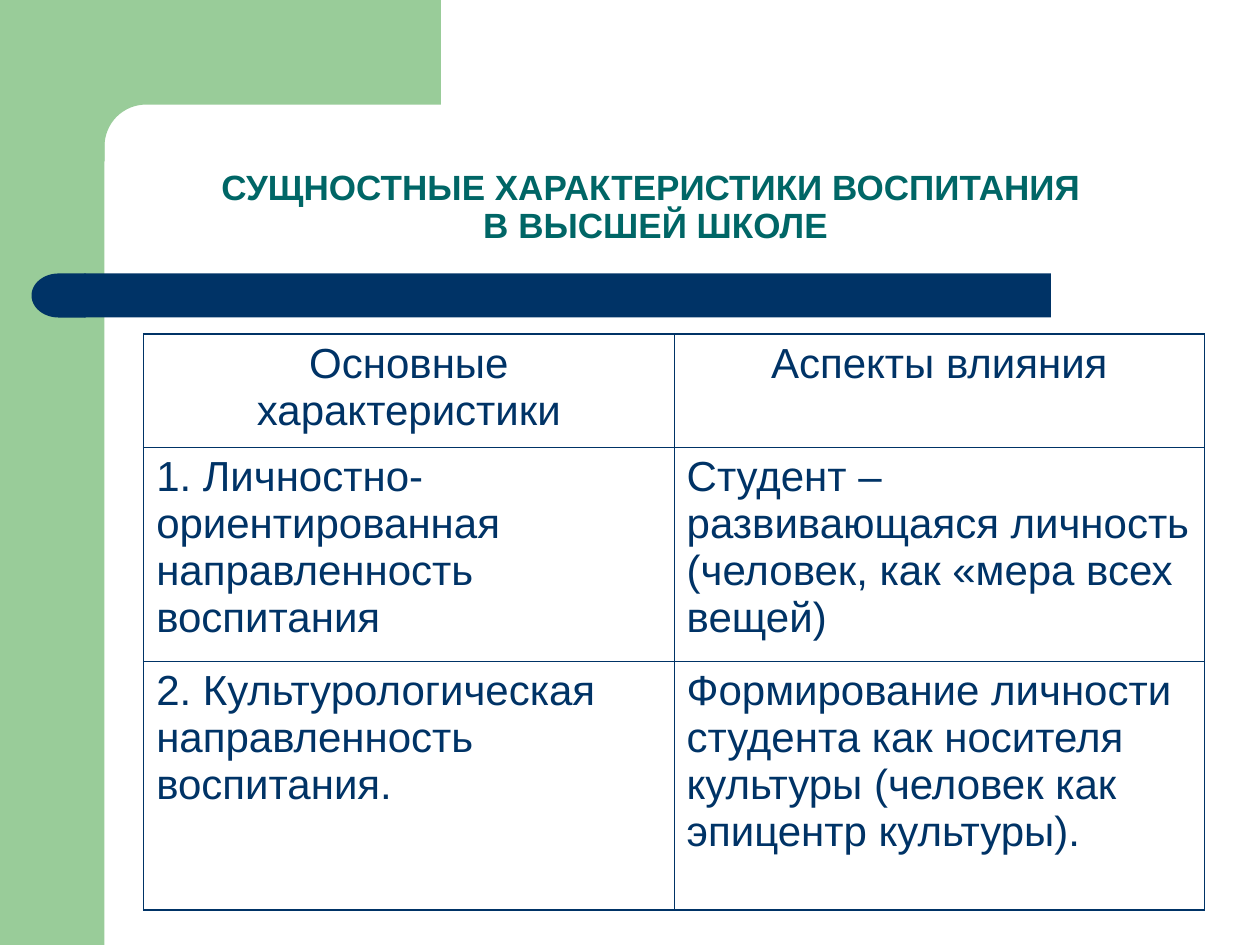
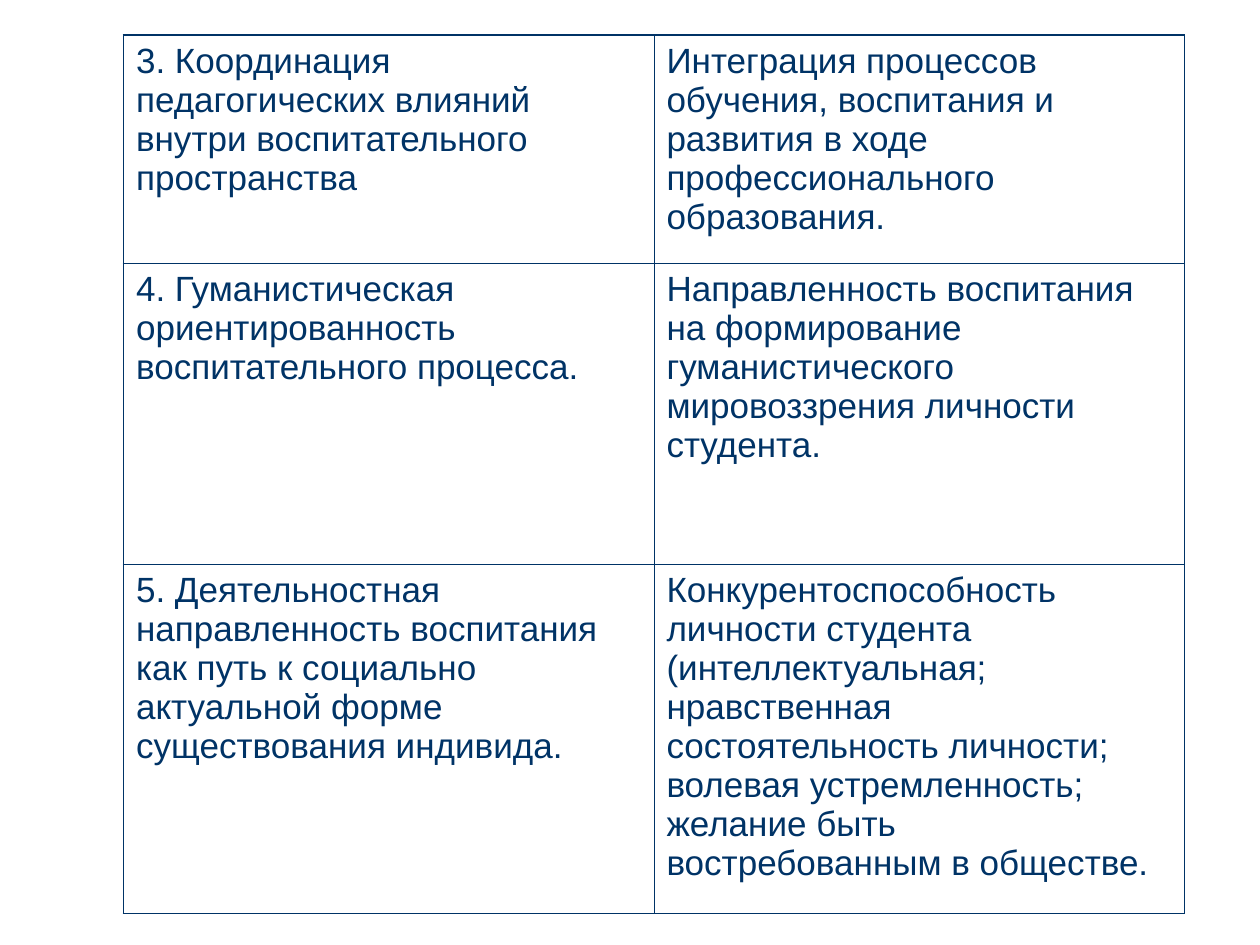
from math import cos, pi, sin

from lxml.etree import SubElement
from pptx import Presentation
from pptx.dml.color import RGBColor
from pptx.enum.shapes import MSO_SHAPE as Preset
from pptx.enum.text import MSO_ANCHOR as Anchor, MSO_AUTO_SIZE as AutoSize, PP_ALIGN as Align
from pptx.oxml.ns import qn
from pptx.util import Inches, Pt

COLORS = {"green": "99CC99", "navy": "003366", "teal": "006666"}
FONT = "Arial"
TITLE_SIZE = 20
COLUMN_WIDTH = 4.21
OUTER_LINE, INNER_LINE = 1.08, 0.45

TITLE = "СУЩНОСТНЫЕ ХАРАКТЕРИСТИКИ ВОСПИТАНИЯ\v В ВЫСШЕЙ ШКОЛЕ"
FIRST_ROWS = [
    ("Основные характеристики", "Аспекты влияния"),
    ("1. Личностно-ориентированная направленность воспитания",
     "Студент – развивающаяся личность (человек, как «мера всех вещей)"),
    ("2. Культурологическая направленность воспитания.",
     "Формирование личности студента как носителя культуры (человек как эпицентр культуры)."),
]
SECOND_ROWS = [
    ("3. Координация педагогических влияний внутри воспитательного пространства",
     "Интеграция процессов обучения, воспитания и развития в ходе "
     "профессионального образования."),
    ("4. Гуманистическая ориентированность воспитательного процесса.",
     "Направленность воспитания на формирование гуманистического "
     "мировоззрения личности студента."),
    ("5. Деятельностная направленность воспитания как путь к социально "
     "актуальной форме существования индивида.",
     "Конкурентоспособность личности студента (интеллектуальная; нравственная "
     "состоятельность личности; волевая устремленность; желание быть "
     "востребованным в обществе."),
]


def apply_format(target, values):
    """Set each named attribute of the target."""
    for name, value in values.items():
        setattr(target, name, value)


def style_spans(para, size, color, bold=False):
    """Give every span of a paragraph the same font."""
    for span in para.runs:
        apply_format(span.font, {"name": FONT, "size": Pt(size), "bold": bold})
        span.font.color.rgb = RGBColor.from_string(COLORS[color])


def paint(shape, color):
    """Fill a shape flatly, without outline or shadow."""
    shape.shadow.inherit = False
    shape.fill.solid()
    shape.fill.fore_color.rgb = RGBColor.from_string(COLORS[color])
    shape.line.fill.background()


def add_block(page, preset, color, left, top, width, height):
    """Add a painted preset shape."""
    block = page.shapes.add_shape(preset, *map(Inches, (left, top, width, height)))
    paint(block, color)
    return block


def add_corner(page):
    """Add the green top band with its rounded inner corner."""
    center, radius, steps = 1.16, 0.33, 16
    angles = [pi / 2 * step / steps for step in range(steps + 1)]
    arc = [(center - radius * sin(a), center - radius * cos(a)) for a in angles]
    points = [(3.5, 0), (3.5, 0.83), *arc, (0.83, 1.28), (0.5, 1.28), (0.5, 0)]
    start, *rest = [(Inches(x), Inches(y)) for x, y in points]
    builder = page.shapes.build_freeform(*start)
    builder.add_line_segments(rest, close=True)
    paint(builder.convert_to_shape(), "green")


def add_decor(page):
    """Draw the green frame and the navy bar with its rounded end."""
    add_block(page, Preset.RECTANGLE, "green", 0, 0, 0.83, 7.5)
    add_corner(page)
    add_block(page, Preset.RECTANGLE, "navy", 0.67, 2.17, 7.67, 0.35)
    bar_end = add_block(page, Preset.FLOWCHART_DELAY, "navy", 0.25, 2.17, 0.43, 0.35)
    bar_end.rotation = 180


def set_title(page, text):
    """Place and format the title placeholder."""
    title = page.shapes.title
    apply_format(title, {"left": Inches(0.91), "top": Inches(0.91),
                         "width": Inches(8.51), "height": Inches(1.09)})
    apply_format(title.text_frame, {"word_wrap": True, "auto_size": AutoSize.NONE,
                                    "vertical_anchor": Anchor.BOTTOM})
    para = title.text_frame.paragraphs[0]
    apply_format(para, {"text": text, "alignment": Align.CENTER, "line_spacing": 0.9})
    style_spans(para, TITLE_SIZE, "teal", bold=True)
    for line_break in para._p.findall(qn("a:br")):
        SubElement(line_break, qn("a:rPr"), sz=str(TITLE_SIZE * 100))


def set_borders(cell, outer_sides):
    """Draw thick lines on the outer sides of a cell and thin ones elsewhere."""
    properties = cell._tc.get_or_add_tcPr()
    for side in "LRTB":
        width = OUTER_LINE if side in outer_sides else INNER_LINE
        line = SubElement(properties, qn(f"a:ln{side}"), w=str(Pt(width)))
        fill = SubElement(line, qn("a:solidFill"))
        SubElement(fill, qn("a:srgbClr"), val=COLORS["navy"])


def add_grid(page, left, top, rows, heights, size, space, has_header=False):
    """Add a two-column table with navy lines and text."""
    frame = page.shapes.add_table(len(rows), 2, Inches(left), Inches(top),
                                  Inches(2 * COLUMN_WIDTH), Inches(sum(heights)))
    table = frame.table
    apply_format(table, {"first_row": False, "horz_banding": False})
    for column in table.columns:
        column.width = Inches(COLUMN_WIDTH)
    for row_index, (texts, height) in enumerate(zip(rows, heights)):
        table.rows[row_index].height = Inches(height)
        edge = {0: "T", len(rows) - 1: "B"}.get(row_index, "")
        for column_index, text in enumerate(texts):
            cell = table.cell(row_index, column_index)
            set_borders(cell, edge + "LR"[column_index])
            cell.fill.background()
            para = cell.text_frame.paragraphs[0]
            centered = has_header and row_index == 0
            apply_format(para, {"text": text, "space_before": Pt(space),
                                "alignment": Align.CENTER if centered else Align.LEFT})
            style_spans(para, size, "navy")


def main():
    """Build both slides and save the deck."""
    deck = Presentation()
    apply_format(deck, {"slide_width": Inches(10), "slide_height": Inches(7.5)})

    page = deck.slides.add_slide(deck.slide_layouts.get_by_name("Title Only"))
    add_decor(page)
    set_title(page, TITLE)
    add_grid(page, 1.14, 2.65, FIRST_ROWS, [0.9, 1.7, 1.97], 24, 6, has_header=True)

    page = deck.slides.add_slide(deck.slide_layouts.get_by_name("Blank"))
    add_grid(page, 0.98, 0.28, SECOND_ROWS, [1.81, 2.39, 2.77], 20, 5)

    deck.save("out.pptx")


if __name__ == "__main__":
    main()
